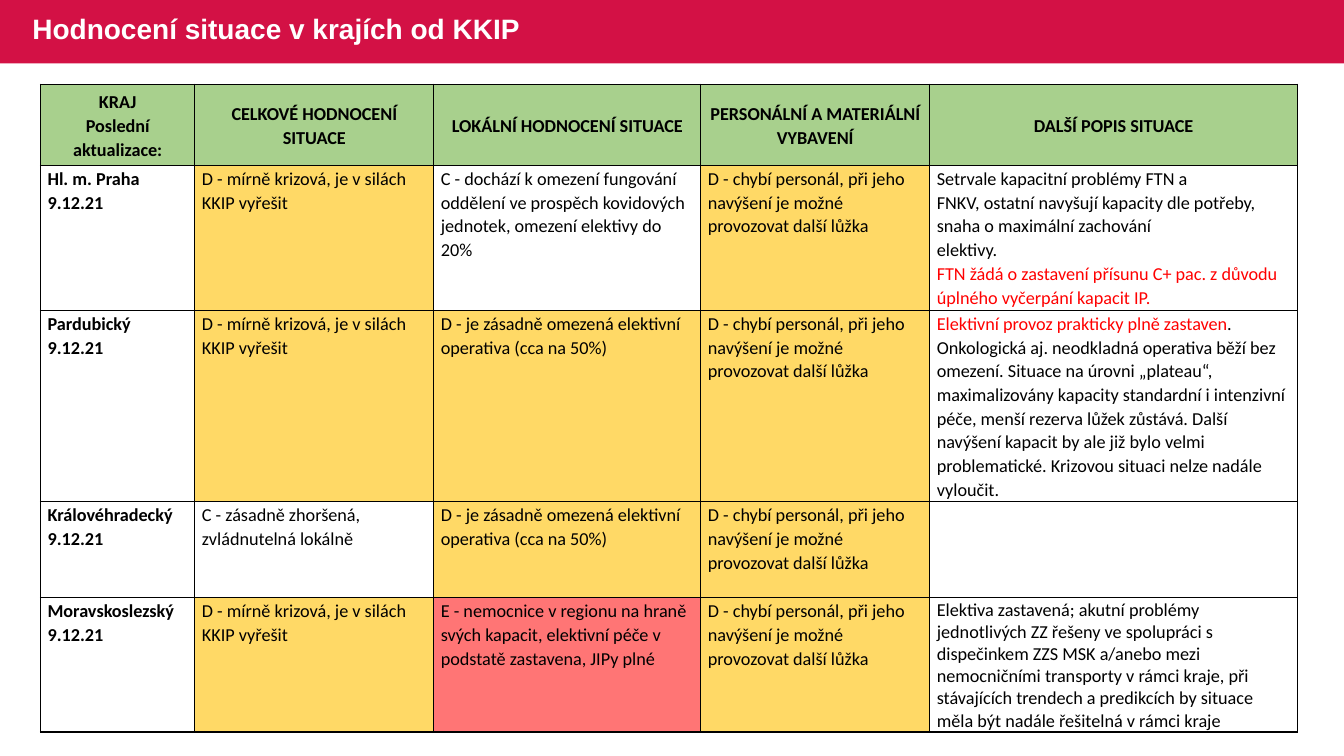
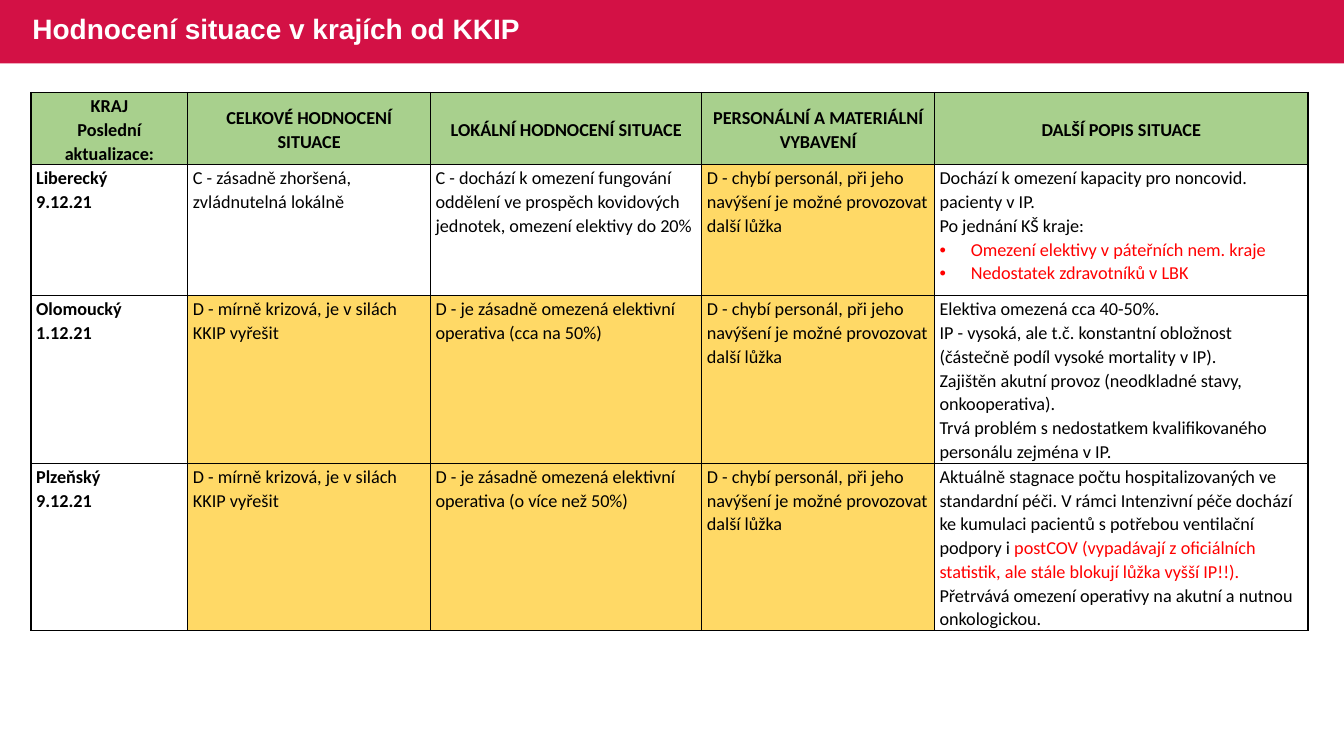
import copy
import pptx
import pptx.util
import pptx.dml.color
import pptx.enum.shapes
import pptx.enum.text
import pptx.oxml
import pptx.oxml.ns

Cm = pptx.util.Cm
ALIGN = pptx.enum.text.PP_ALIGN
ANCHOR = pptx.enum.text.MSO_ANCHOR
NS = pptx.oxml.ns.nsdecls("a")
BLACK, WHITE, RED = "000000", "FFFFFF", "FF0000"
BAND, GREEN = "D31145", "A8D08D"
GRADES = {"D - ": "FFD966", "E - ": "FF7575"}


def color(code):
    return pptx.dml.color.RGBColor.from_string(code)


def style(font, code, **form):
    for name, value in form.items():
        setattr(font, name, value)
    font.color.rgb = color(code)


title = "Hodnocení situace v krajích od KKIP"
heads = [
    "KRAJ\nPoslední aktualizace:",
    "CELKOVÉ HODNOCENÍ SITUACE",
    "LOKÁLNÍ HODNOCENÍ SITUACE",
    "PERSONÁLNÍ A MATERIÁLNÍ VYBAVENÍ",
    "DALŠÍ POPIS SITUACE",
]
worse = "C - zásadně zhoršená, zvládnutelná lokálně"
crisis = "D - mírně krizová, je v silách KKIP vyřešit"
fifth = "C - dochází k omezení fungování oddělení ve prospěch kovidových jednotek, omezení elektivy do 20%"
half = "D - je zásadně omezená elektivní operativa (cca na 50%)"
more = "D - je zásadně omezená elektivní operativa (o více než 50%)"
edge = "E - nemocnice v regionu na hraně svých kapacit, elektivní péče v podstatě zastavena, JIPy plné"
staff = "D - chybí personál, při jeho navýšení je možné provozovat další lůžka"
tight = (
    "Elektiva zastavená; akutní problémy jednotlivých ZZ řešeny ve spolupráci s "
    "dispečinkem ZZS MSK a/anebo mezi nemocničními transporty v rámci kraje, při "
    "stávajících trendech a predikcích by situace měla být nadále řešitelná v rámci kraje"
)

pages = [
    {
        "left": 1.02, "top": 2.12, "scale": 1, "inset": 0.18,
        "highs": [2.05, 3.65, 4.82, 2.42, 3.38],
        "rows": [
            ["Hl. m. Praha\n9.12.21", crisis, fifth, staff,
             "Setrvale kapacitní problémy FTN a\vFNKV, ostatní navyšují kapacity dle potřeby, "
             "snaha o maximální zachování\velektivy.\n"
             "~FTN žádá o zastavení přísunu C+ pac. z důvodu úplného vyčerpání kapacit IP.~"],
            ["Pardubický\n9.12.21", crisis, half, staff,
             "~Elektivní provoz prakticky plně zastaven~. Onkologická aj. neodkladná operativa "
             "běží bez omezení. Situace na úrovni „plateau“, maximalizovány kapacity standardní "
             "i intenzivní péče, menší rezerva lůžek zůstává. Další navýšení kapacit by ale již "
             "bylo velmi problematické. Krizovou situaci nelze nadále vyloučit."],
            ["Královéhradecký\n9.12.21", worse, half, staff, ""],
            ["Moravskoslezský\n9.12.21", crisis, edge, staff, tight],
        ],
    },
    {
        "left": 0.78, "top": 2.33, "scale": 1.016, "inset": 0.13,
        "highs": [1.8, 3.3, 4.22, 4.22],
        "rows": [
            ["Liberecký\n9.12.21", worse, fifth, staff,
             "Dochází k omezení kapacity pro noncovid. pacienty v IP.\nPo jednání KŠ kraje:\n"
             "•~Omezení elektivy v páteřních nem. kraje~\n•~Nedostatek zdravotníků v LBK~"],
            ["Olomoucký\n1.12.21", crisis, half, staff,
             "Elektiva omezená cca 40-50%.\n"
             "IP - vysoká, ale t.č. konstantní obložnost (částečně podíl vysoké mortality v IP).\n"
             "Zajištěn akutní provoz (neodkladné stavy, onkooperativa).\n"
             "Trvá problém s nedostatkem kvalifikovaného personálu zejména v IP."],
            ["Plzeňský\n9.12.21", crisis, more, staff,
             "Aktuálně stagnace počtu hospitalizovaných ve standardní péči. V rámci Intenzivní "
             "péče dochází ke kumulaci pacientů s potřebou ventilační podpory i ~postCOV "
             "(vypadávají z oficiálních statistik, ale stále blokují lůžka vyšší IP!!).~\n"
             "Přetrvává omezení operativy na akutní a nutnou onkologickou."],
        ],
    },
]
wides = [3.89, 6.02, 6.73, 5.77, 9.27]

deck = pptx.Presentation()
deck.slide_width, deck.slide_height = Cm(33.87), Cm(19.05)
layout = deck.slide_layouts[5]
spot = {"left": Cm(0.56), "top": Cm(-0.03), "width": Cm(20.68), "height": Cm(1.6)}
for name, value in spot.items():
    setattr(layout.placeholders[0], name, value)

for page in pages:
    slide = deck.slides.add_slide(layout)
    if page is pages[0]:
        band = slide.shapes.add_shape(
            pptx.enum.shapes.MSO_SHAPE.RECTANGLE, 0, 0, deck.slide_width, Cm(1.6))
        band.shadow.inherit = False
        band.fill.solid()
        band.fill.fore_color.rgb = color(BAND)
        band.line.fill.background()
        layout.shapes._spTree.insert(2, band._element)

    frame = slide.shapes.title.text_frame
    frame.text = title
    frame.vertical_anchor = ANCHOR.MIDDLE
    frame.auto_size = pptx.enum.text.MSO_AUTO_SIZE.NONE
    para = frame.paragraphs[0]
    para.alignment, para.line_spacing = ALIGN.LEFT, 0.9
    style(para.runs[0].font, WHITE, name="Arial", size=pptx.util.Pt(20), bold=True)

    rows = [heads] + page["rows"]
    spans = [Cm(wide * page["scale"]) for wide in wides]
    highs = [Cm(high) for high in page["highs"]]
    table = slide.shapes.add_table(
        len(rows), len(heads), Cm(page["left"]), Cm(page["top"]), sum(spans), sum(highs)).table
    table.first_row = table.horz_banding = False
    for col, span in zip(table.columns, spans):
        col.width = span
    for row, high in zip(table.rows, highs):
        row.height = high

    for r, texts in enumerate(rows):
        for c, text in enumerate(texts):
            cell = table.cell(r, c)
            form = {
                "margin_left": Cm(page["inset"]), "margin_right": Cm(page["inset"]),
                "margin_top": Cm(0.03), "margin_bottom": 0,
                "vertical_anchor": ANCHOR.TOP if r else ANCHOR.MIDDLE,
            }
            for name, value in form.items():
                setattr(cell, name, value)
            shade = GRADES.get(text[:4]) if r else GREEN
            if shade:
                cell.fill.solid()
                cell.fill.fore_color.rgb = color(shade)
            else:
                cell.fill.background()
            for i, side in enumerate("LRTB"):
                cell._tc.tcPr.insert(i, pptx.oxml.parse_xml(
                    f'<a:ln{side} {NS} w="12700"><a:solidFill><a:srgbClr val="{BLACK}"/>'
                    f'</a:solidFill></a:ln{side}>'))

            for n, line in enumerate(text.split("\n")):
                frame = cell.text_frame
                para = frame.add_paragraph() if n else frame.paragraphs[0]
                para.alignment = ALIGN.LEFT if r else ALIGN.CENTER
                para.line_spacing = 1.0 if text == tight else 1.07
                if line.startswith("•"):
                    prop = para._p.get_or_add_pPr()
                    prop.set("marL", str(Cm(0.79)))
                    prop.set("indent", str(Cm(-0.79)))
                    prop.append(pptx.oxml.parse_xml(f'<a:buFont {NS} typeface="Arial"/>'))
                    prop.append(pptx.oxml.parse_xml(f'<a:buChar {NS} char="•"/>'))
                for i, part in enumerate(line.lstrip("•").split("~")):
                    for j, bit in enumerate(part.split("\v")):
                        if j:
                            para.add_line_break()
                        if bit:
                            run = para.add_run()
                            run.text = bit
                            style(run.font, RED if i % 2 else BLACK, name="Calibri",
                                  size=pptx.util.Pt(13), bold=r == 0 or c == 0)
                for stop in para._p.findall(pptx.oxml.ns.qn("a:br")):
                    stop.append(copy.deepcopy(para.runs[0]._r.rPr))

deck.save("out.pptx")
